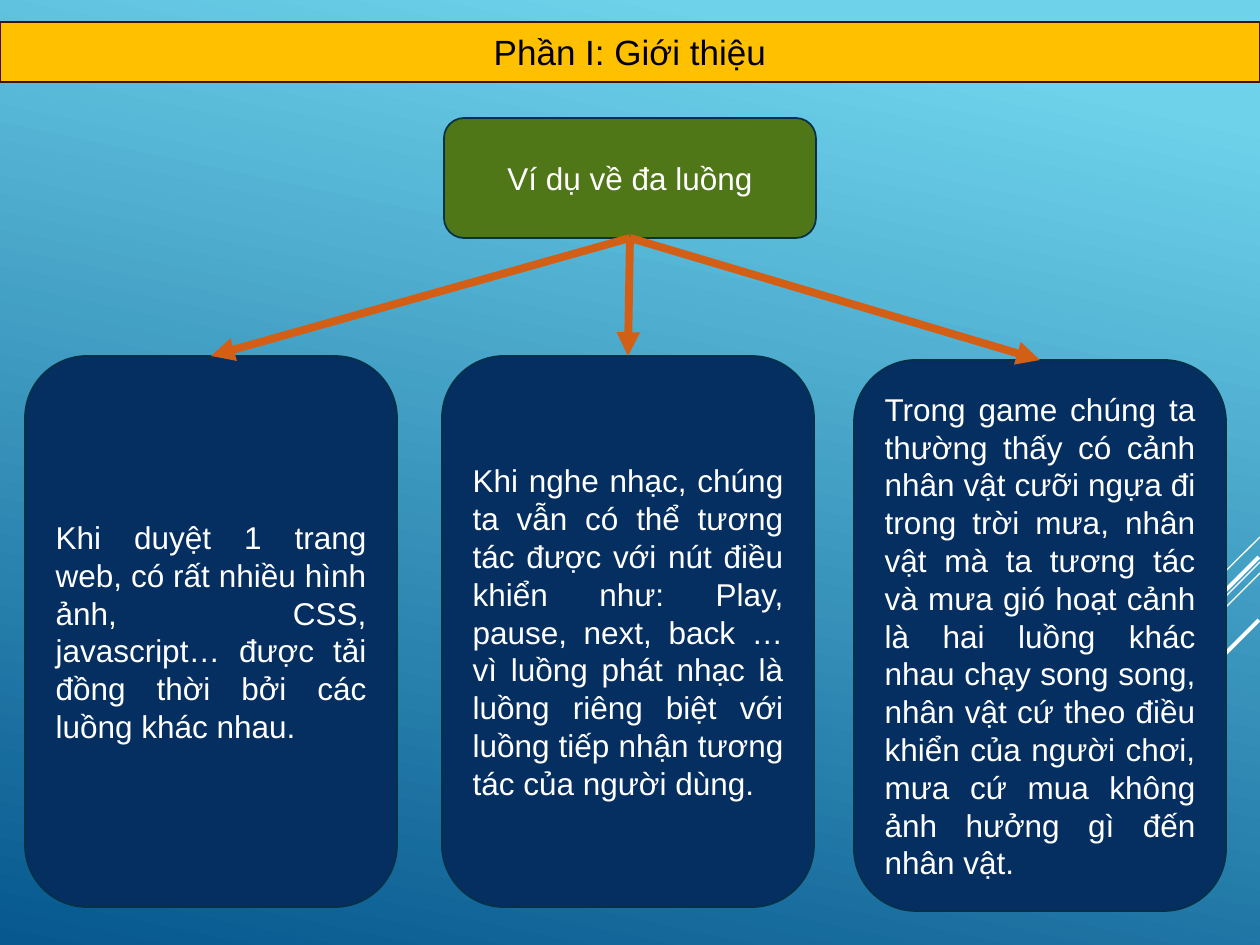
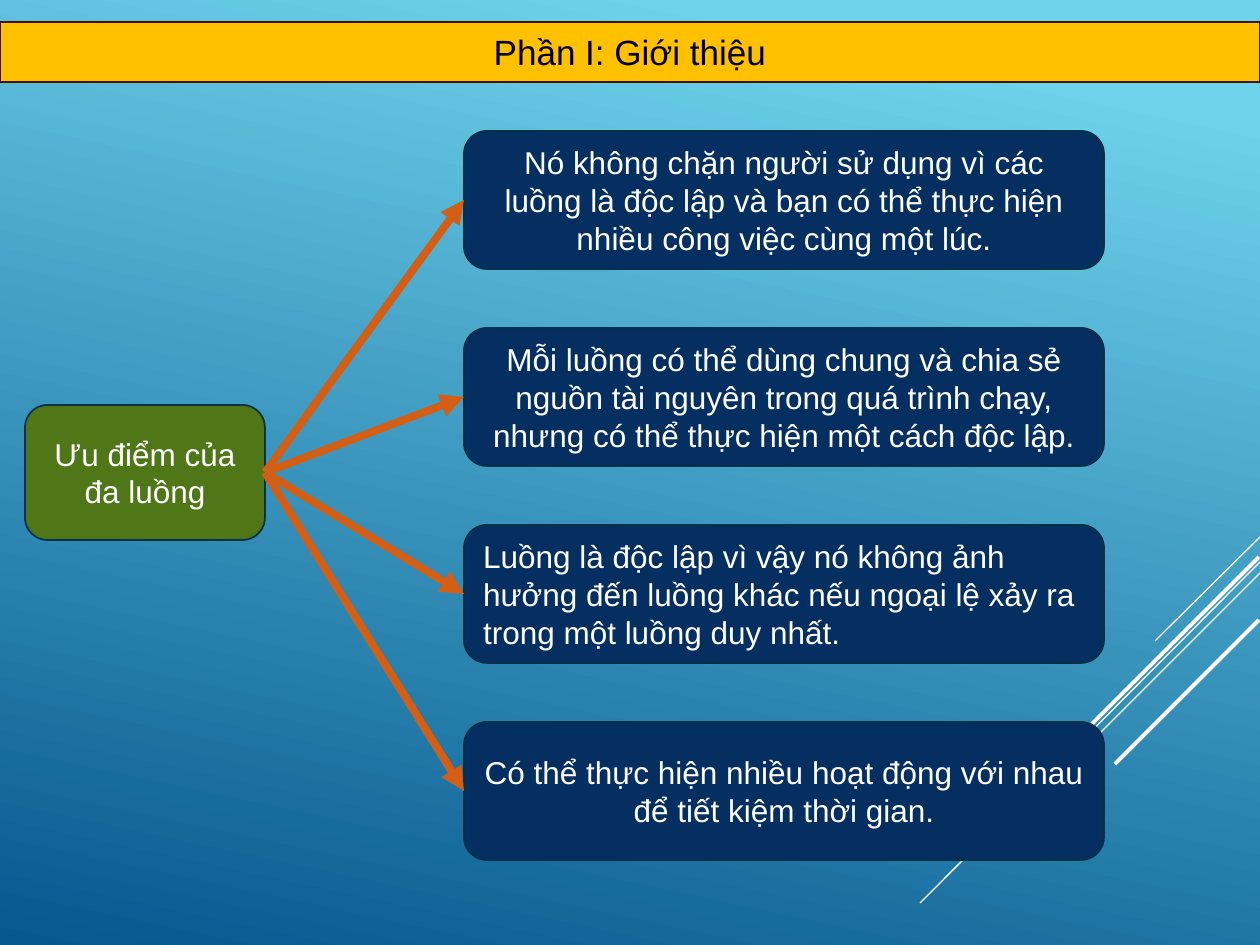
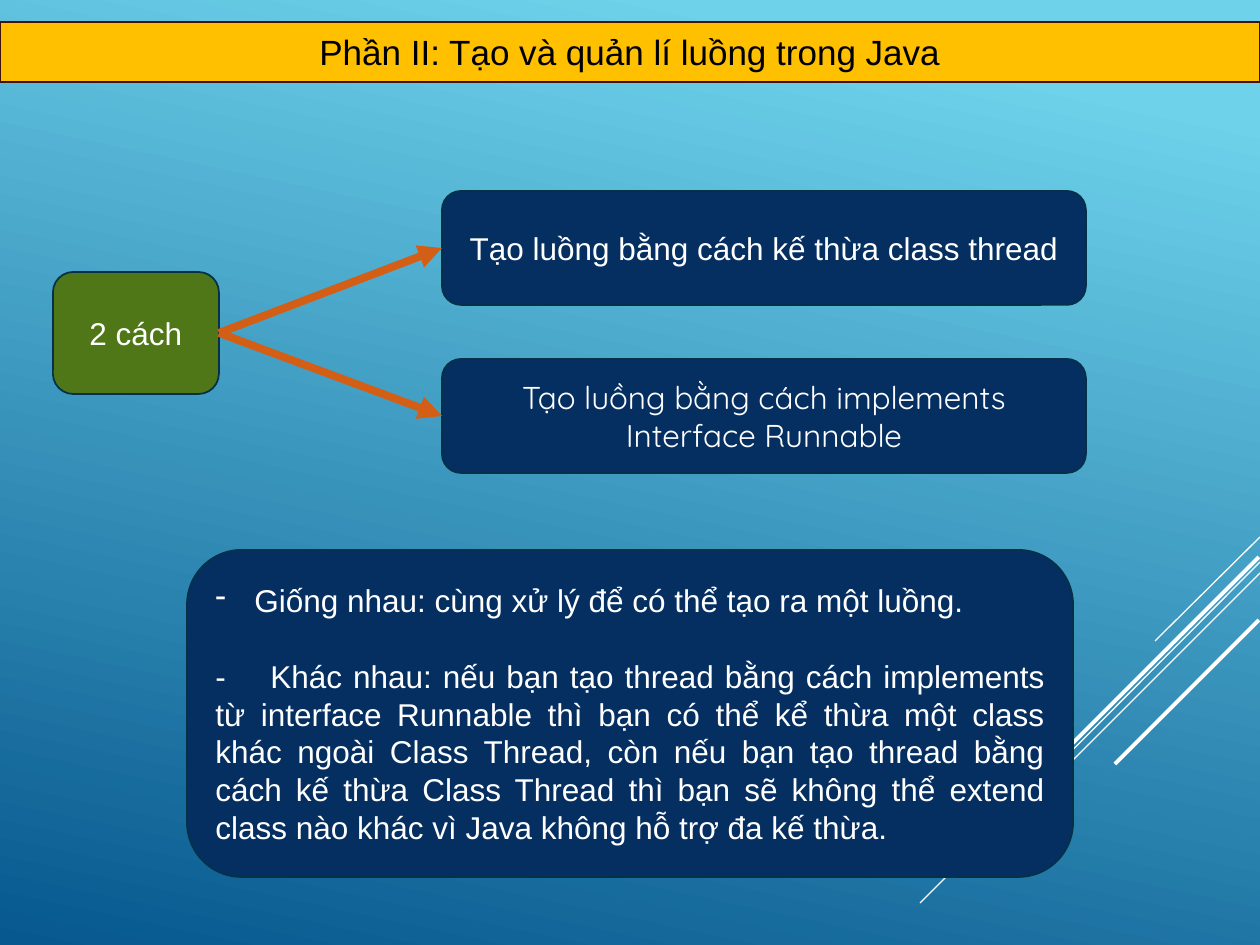
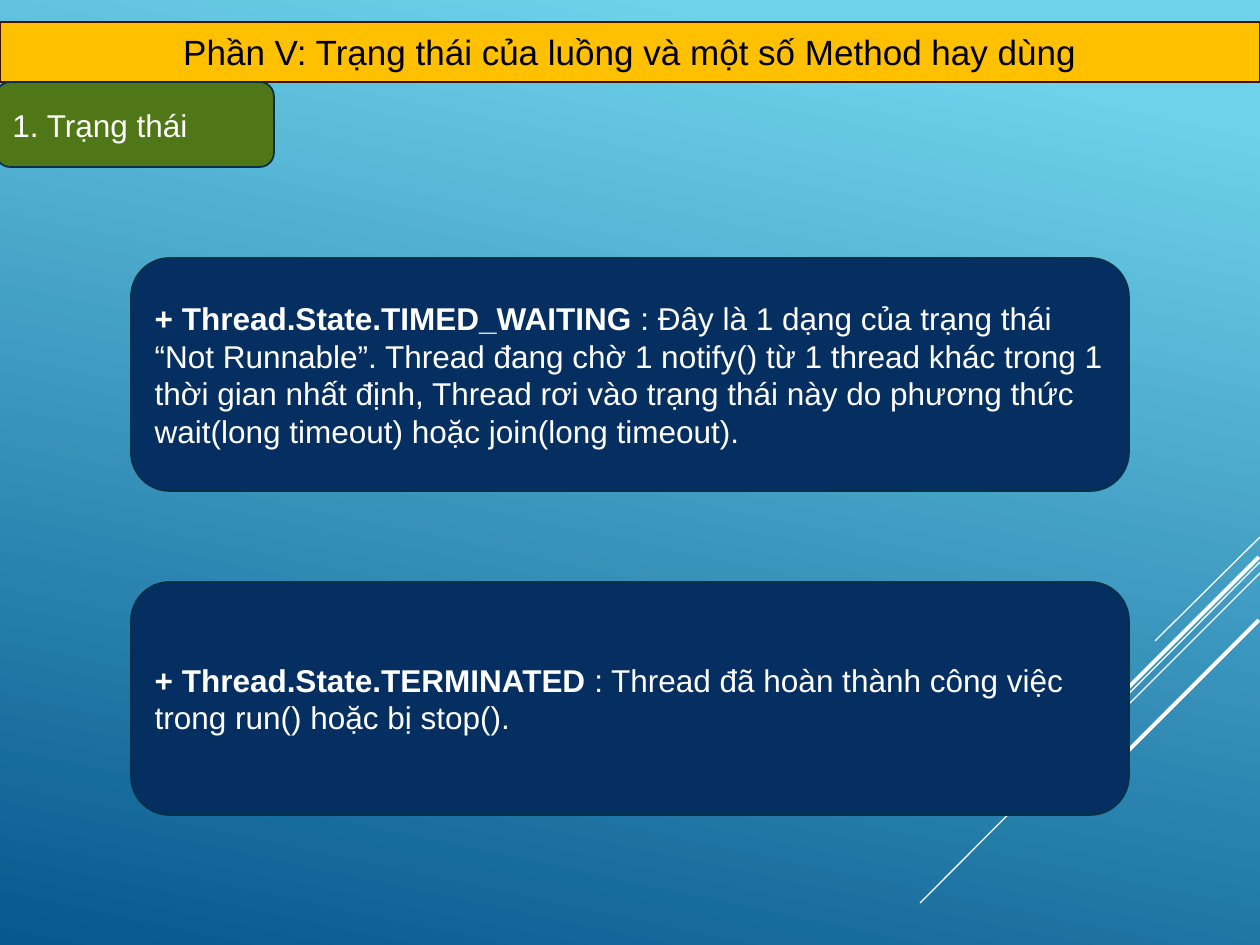
import pptx
import pptx.util
import pptx.dml.color
import pptx.enum.shapes
import pptx.enum.text
import pptx.oxml
import pptx.oxml.ns

RGB = pptx.dml.color.RGBColor
ALIGN = pptx.enum.text.PP_ALIGN
ANCHOR = pptx.enum.text.MSO_ANCHOR
SHAPE = pptx.enum.shapes.MSO_SHAPE
Pt = pptx.util.Pt
qn = pptx.oxml.ns.qn

PX = 914400 / 126
SKY = RGB(0x6E, 0xD2, 0xEB)
SEA = RGB(0x06, 0x58, 0x8E)
GOLD = RGB(0xFF, 0xC0, 0x00)
BROWN = RGB(0x40, 0x14, 0x08)
GREEN = RGB(0x4F, 0x77, 0x17)
NAVY = RGB(0x05, 0x2F, 0x61)
EDGE = RGB(0x04, 0x31, 0x48)
ORANGE = RGB(0xD3, 0x5F, 0x17)
WHITE = RGB(0xFF, 0xFF, 0xFF)
BLACK = RGB(0x00, 0x00, 0x00)
TOP, LEFT, BASE, RIGHT = range(4)  # connection sites of a box


def link(page, ends, tint, weight):
    line = page.shapes.add_connector(
        pptx.enum.shapes.MSO_CONNECTOR.STRAIGHT, *[round(n * PX) for n in ends])
    line.line.color.rgb = tint
    line.line.width = Pt(weight)
    pptx.oxml.ns  # namespace helpers used below
    line.element.spPr.append(pptx.oxml.parse_xml(
        f"<a:effectLst {pptx.oxml.ns.nsdecls('a')}/>"))
    return line


def box(page, area, fill, paras, align=ALIGN.CENTER, face="Arial"):
    """Rounded box; a paragraph is a tuple of runs, all bold but the last."""
    shape = page.shapes.add_shape(
        SHAPE.ROUNDED_RECTANGLE, *[round(n * PX) for n in area])
    shape.shadow.inherit = False
    shape.fill.solid()
    shape.fill.fore_color.rgb = fill
    shape.line.color.rgb = EDGE
    shape.line.width = Pt(1)
    frame = shape.text_frame
    frame.word_wrap = True
    frame.vertical_anchor = ANCHOR.MIDDLE
    for i, parts in enumerate(paras):
        para = frame.add_paragraph() if i else frame.paragraphs[0]
        para.alignment = align
        for part in parts:
            run = para.add_run()
            run.text = part
            run.font.name = face
            run.font.size = Pt(18)
            run.font.bold = part is not parts[-1]
            run.font.color.rgb = WHITE
    return shape


deck = pptx.Presentation()
deck.slide_width = round(1260 * PX)
deck.slide_height = round(945 * PX)
layout = deck.slide_layouts[5]

# Shared background and titles
back = layout.background.fill
back.gradient()
back.gradient_angle = 258
for stop, tint, pos in zip(back.gradient_stops, (SKY, SEA), (0.1, 1)):
    stop.color.rgb = tint
    stop.position = pos

pages = []
for text in (
    "Phần I: Giới thiệu",
    "Phần I: Giới thiệu",
    "Phần II: Tạo và quản lí luồng trong Java",
    "Phần V: Trạng thái của luồng và một số Method hay dùng",
):
    page = deck.slides.add_slide(layout)
    title = page.shapes.title
    title.left, title.top, title.width, title.height = [
        round(n * PX) for n in (0, 22, 1260, 60)]
    title.fill.solid()
    title.fill.fore_color.rgb = GOLD
    title.line.color.rgb = BROWN
    title.line.width = Pt(1)
    frame = title.text_frame
    frame.auto_size = pptx.enum.text.MSO_AUTO_SIZE.NONE
    frame.vertical_anchor = ANCHOR.MIDDLE
    frame.paragraphs[0].alignment = ALIGN.CENTER
    run = frame.paragraphs[0].add_run()
    run.text = text
    run.font.name = "Arial"
    run.font.size = Pt(20)
    run.font.color.rgb = BLACK
    pages.append(page)
intro, gains, ways, states = pages

# Diagonal rays, drawn once and kept in the layout
for *ends, weight in (
    (1260, 537, 1155, 641, 0.75),
    (1260, 562, 920, 903, 0.75),
    (1260, 573, 1043, 790, 0.75),
    (1259, 557, 1061, 755, 2.25),
    (1259, 620, 1115, 764, 2.25),
):
    ray = link(intro, ends, WHITE, weight)
    layout.shapes.element.append(ray.element)

arrows = []

# Slide 1: examples
root = box(intro, (444, 118, 372, 120), GREEN, [("Ví dụ về đa luồng",)])
for left, top, text in (
    (25, 356, "Khi duyệt 1 trang web, có rất nhiều hình ảnh, CSS, javascript… "
     "được tải đồng thời bởi các luồng khác nhau."),
    (442, 356, "Khi nghe nhạc, chúng ta vẫn có thể tương tác được với nút điều "
     "khiển như: Play, pause, next, back … vì luồng phát nhạc là luồng riêng "
     "biệt với luồng tiếp nhận tương tác của người dùng."),
    (854, 360, "Trong game chúng ta thường thấy có cảnh nhân vật cưỡi ngựa đi "
     "trong trời mưa, nhân vật mà ta tương tác và mưa gió hoạt cảnh là hai "
     "luồng khác nhau chạy song song, nhân vật cứ theo điều khiển của người "
     "chơi, mưa cứ mua không ảnh hưởng gì đến nhân vật."),
):
    leaf = box(intro, (left, top, 372, 551), NAVY, [(text,)], ALIGN.JUSTIFY)
    arrows.append((intro, root, BASE, leaf, TOP))

# Slide 2: advantages
root = box(gains, (25, 405, 240, 135), GREEN, [("Ưu điểm của đa luồng",)])
for i, (text, align) in enumerate((
    ("Nó không chặn người sử dụng vì các luồng là độc lập và bạn có thể thực "
     "hiện nhiều công việc cùng một lúc.", ALIGN.CENTER),
    ("Mỗi luồng có thể dùng chung và chia sẻ nguồn tài nguyên trong quá trình "
     "chạy, nhưng có thể thực hiện một cách độc lập.", ALIGN.CENTER),
    ("Luồng là độc lập vì vậy nó không ảnh hưởng đến luồng khác nếu ngoại lệ "
     "xảy ra trong một luồng duy nhất.", ALIGN.LEFT),
    ("Có thể thực hiện nhiều hoạt động với nhau để tiết kiệm thời gian.",
     ALIGN.CENTER),
)):
    leaf = box(gains, (464, 131 + 197 * i, 640, 138), NAVY, [(text,)], align)
    arrows.append((gains, root, RIGHT, leaf, LEFT))

# Slide 3: two ways and how they compare
root = box(ways, (53, 272, 166, 122), GREEN, [("2 cách",)])
for top, text, face in (
    (191, "Tạo luồng bằng cách kế thừa class thread", "Arial"),
    (359, "Tạo luồng bằng cách implements Interface Runnable", "Quicksand"),
):
    leaf = box(ways, (442, top, 644, 114), NAVY, [(text,)], face=face)
    arrows.append((ways, root, RIGHT, leaf, LEFT))

notes = box(ways, (187, 550, 886, 327), NAVY, [
    ("Giống nhau: cùng xử lý để có thể tạo ra một luồng.",),
    ("-\tKhác nhau: nếu bạn tạo thread bằng cách implements từ interface "
     "Runnable thì bạn có thể kể thừa một class khác ngoài Class Thread, còn "
     "nếu bạn tạo thread bằng cách kế thừa Class Thread thì bạn sẽ không thể "
     "extend class nào khác vì Java không hỗ trợ đa kế thừa.",),
], ALIGN.JUSTIFY)
same, differ = notes.text_frame.paragraphs
props = same._p.get_or_add_pPr()
props.set("marL", str(round(39 * PX)))
props.set("indent", str(round(-39 * PX)))
props.append(pptx.oxml.parse_xml(
    f'<a:buChar {pptx.oxml.ns.nsdecls("a")} char="-"/>'))
differ._p.get_or_add_pPr().append(pptx.oxml.parse_xml(
    f'<a:tabLst {pptx.oxml.ns.nsdecls("a")}>'
    f'<a:tab pos="{round(55 * PX)}" algn="l"/></a:tabLst>'))
differ.space_before = Pt(21.6)

# Slide 4: thread states
for top, parts in (
    (258, ("+ Thread.State.TIMED_WAITING",
           " : Đây là 1 dạng của trạng thái “Not Runnable”. Thread đang chờ 1 "
           "notify() từ 1 thread khác trong 1 thời gian nhất định, Thread rơi "
           "vào trạng thái này do phương thức wait(long timeout) hoặc "
           "join(long timeout).")),
    (582, ("+ Thread.State.TERMINATED",
           " : Thread đã hoàn thành công việc trong run() hoặc bị stop().")),
):
    box(states, (131, top, 998, 233), NAVY, [parts], ALIGN.LEFT)
box(states, (-4, 82, 278, 85), GREEN, [("1. Trạng thái",)], ALIGN.LEFT)

for page, root, out, leaf, into in arrows:
    arrow = link(page, (0, 0, 0, 0), ORANGE, 4.5)
    arrow.begin_connect(root, out)
    arrow.end_connect(leaf, into)
    arrow.element.spPr.find(qn("a:ln")).append(pptx.oxml.parse_xml(
        f'<a:tailEnd {pptx.oxml.ns.nsdecls("a")} type="triangle"/>'))

deck.save("out.pptx")
